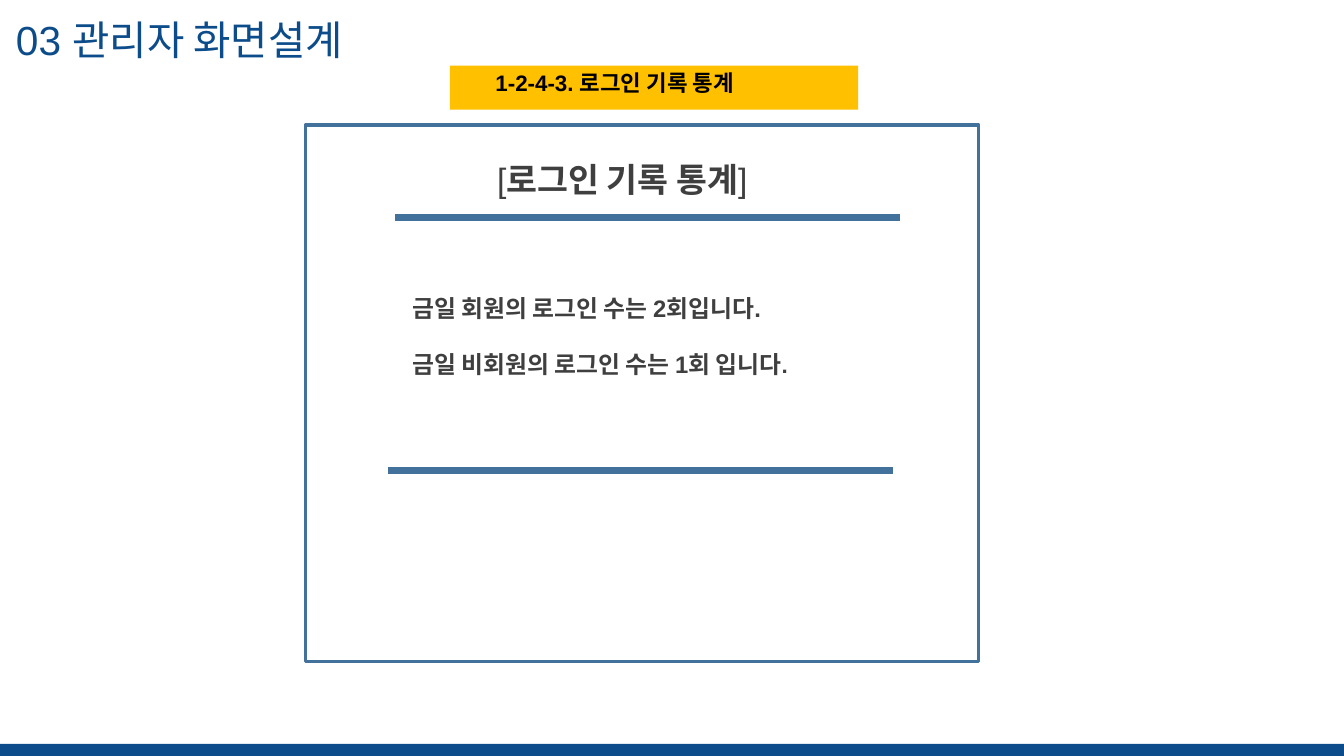
from dataclasses import dataclass

from lxml.etree import SubElement
from pptx import Presentation
from pptx.dml.color import RGBColor
from pptx.enum.shapes import MSO_CONNECTOR, MSO_SHAPE
from pptx.oxml.ns import qn
from pptx.slide import Slide
from pptx.util import Pt

NAVY = RGBColor(0x0C, 0x4C, 0x8A)
AMBER = RGBColor(0xFF, 0xC0, 0x00)
STEEL = RGBColor(0x42, 0x71, 0x9B)
CHARCOAL = RGBColor(0x3F, 0x3F, 0x3F)
BLACK = RGBColor(0x00, 0x00, 0x00)

FONT = "Arial"
SLIDE_WIDTH, SLIDE_HEIGHT = 960, 540
RULE_LENGTH = 361


@dataclass(frozen=True)
class Box:
    left: float
    top: float
    width: float
    height: float

    def lengths(self) -> tuple[Pt, Pt, Pt, Pt]:
        return Pt(self.left), Pt(self.top), Pt(self.width), Pt(self.height)


@dataclass(frozen=True)
class Piece:
    text: str
    size: float
    bold: bool = False


@dataclass(frozen=True)
class Label:
    box: Box
    color: RGBColor
    lines: list[list[Piece]]
    gap: float = 0


@dataclass(frozen=True)
class Rule:
    left: float
    top: float


FOOTER_BAR = Box(0, 531.4, SLIDE_WIDTH, 8.6)
CAPTION_BAR = Box(321.4, 46.8, 291.6, 31.5)
SCREEN_FRAME = Box(218.2, 89.3, 481, 383)
RULES = [Rule(282.2, 155.2), Rule(277.2, 336)]

LABELS = [
    Label(Box(4.3, 7.2, 310.3, 42.5), NAVY, [[Piece("03 관리자 화면설계", 29)]]),
    Label(Box(346.8, 46.1, 286, 31.5), BLACK,
          [[Piece("1-2-4-3. 로그인 기록 통계", 16, True)]]),
    Label(Box(348, 110.2, 253, 36), CHARCOAL,
          [[Piece("[", 24), Piece("로그인 기록 통계", 24, True), Piece("]", 24)]]),
    Label(Box(287.3, 206.6, 330.5, 69), CHARCOAL,
          [[Piece("금일 회원의 로그인 수는 2회입니다.", 17, True)],
           [Piece("금일 비회원의 로그인 수는 1회 입니다", 17, True), Piece(".", 16, True)]],
          gap=19.5),
]


def add_bar(slide: Slide, box: Box, color: RGBColor) -> None:
    bar = slide.shapes.add_shape(MSO_SHAPE.RECTANGLE, *box.lengths())
    bar.shadow.inherit = False
    bar.fill.solid()
    bar.fill.fore_color.rgb = color
    bar.line.fill.background()


def add_frame(slide: Slide, box: Box) -> None:
    frame = slide.shapes.add_shape(MSO_SHAPE.RECTANGLE, *box.lengths())
    frame.shadow.inherit = False
    frame.fill.background()
    frame.line.color.rgb = STEEL
    frame.line.width = Pt(2.25)


def add_rule(slide: Slide, rule: Rule) -> None:
    line = slide.shapes.add_connector(
        MSO_CONNECTOR.STRAIGHT, Pt(rule.left), Pt(rule.top),
        Pt(rule.left + RULE_LENGTH), Pt(rule.top))
    line.line.color.rgb = STEEL
    line.line.width = Pt(5)
    SubElement(line._element.spPr, qn("a:effectLst"))


def add_label(slide: Slide, label: Label) -> None:
    frame = slide.shapes.add_textbox(*label.box.lengths()).text_frame
    frame.word_wrap = True
    for index, pieces in enumerate(label.lines):
        paragraph = frame.add_paragraph() if index else frame.paragraphs[0]
        if index:
            paragraph.space_before = Pt(label.gap)
        for piece in pieces:
            run = paragraph.add_run()
            run.text = piece.text
            run.font.name = FONT
            run.font.size = Pt(piece.size)
            run.font.bold = piece.bold
            run.font.color.rgb = label.color


def main() -> None:
    presentation = Presentation()
    presentation.slide_width = Pt(SLIDE_WIDTH)
    presentation.slide_height = Pt(SLIDE_HEIGHT)
    slide = presentation.slides.add_slide(presentation.slide_layouts[6])

    add_bar(slide, FOOTER_BAR, NAVY)
    add_bar(slide, CAPTION_BAR, AMBER)
    add_frame(slide, SCREEN_FRAME)
    for rule in RULES:
        add_rule(slide, rule)
    for label in LABELS:
        add_label(slide, label)

    presentation.save("out.pptx")


if __name__ == "__main__":
    main()
